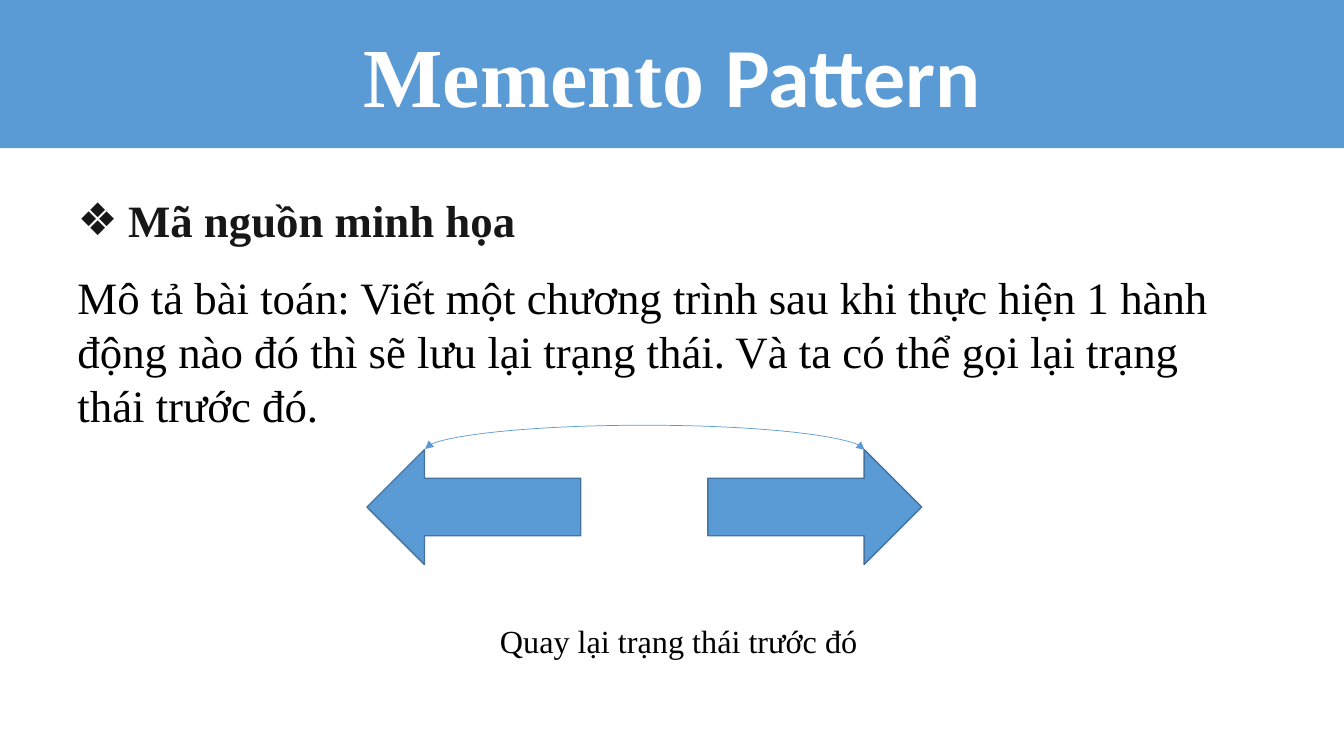
from dataclasses import dataclass

from lxml import etree
from pptx import Presentation
from pptx.dml.color import RGBColor
from pptx.enum.shapes import MSO_CONNECTOR, MSO_SHAPE
from pptx.enum.text import MSO_ANCHOR, MSO_AUTO_SIZE, PP_ALIGN
from pptx.oxml.ns import qn
from pptx.util import Inches, Pt

CURVE = MSO_CONNECTOR.CURVE
RIGHT_ARROW = MSO_SHAPE.RIGHT_ARROW
MIDDLE, TOP = MSO_ANCHOR.MIDDLE, MSO_ANCHOR.TOP
GROW, FIXED = MSO_AUTO_SIZE.SHAPE_TO_FIT_TEXT, MSO_AUTO_SIZE.NONE
CENTER, LEFT = PP_ALIGN.CENTER, PP_ALIGN.LEFT

COLORS = {
    "blue": "5B9BD5",
    "outline": "43739E",
    "white": "FFFFFF",
    "heading": "181717",
    "text": "000000",
}
SERIF, SANS = "Times New Roman", "Calibri"


@dataclass
class Box:
    left: float
    top: float
    width: float
    height: float


@dataclass
class Note:
    box: Box
    text: str
    size: int
    wrap: bool


@dataclass
class Arrow:
    box: Box
    rotation: int


TITLE_BOX = Box(0, 0, 13.33, 1.47)
HEADING_BOX = Box(0.67, 1.6, 4.58, 0.91)
NOTES = [
    Note(Box(0.67, 2.63, 11.72, 1.72),
         "Mô tả bài toán: Viết một chương trình sau khi thực hiện 1 hành động nào đó "
         "thì sẽ lưu lại trạng thái. Và ta có thể gọi lại trạng thái trước đó.",
         32, True),
    Note(Box(4.86, 6.11, 3.78, 0.49), "Quay lại trạng thái trước đó", 23, False),
]
ARROWS = [
    Arrow(Box(7.02, 4.46, 2.12, 1.14), 0),
    Arrow(Box(3.64, 4.46, 2.12, 1.14), 180),
]


def rgb(name: str) -> RGBColor:
    return RGBColor.from_string(COLORS[name])


def inches(box: Box) -> list:
    return [Inches(v) for v in (box.left, box.top, box.width, box.height)]


def set_all(obj, **values) -> None:
    for name, value in values.items():
        setattr(obj, name, value)


def place(s, box: Box) -> None:
    s.left, s.top, s.width, s.height = inches(box)


def add_run(p, text: str, size: int, color: str, font: str = SERIF, bold: bool = False) -> None:
    r = p.add_run()
    r.text = text
    set_all(r.font, name=font, size=Pt(size), bold=bold)
    r.font.color.rgb = rgb(color)


def fill_title(s) -> None:
    place(s, TITLE_BOX)
    s.fill.solid()
    s.fill.fore_color.rgb = rgb("blue")
    set_all(s.text_frame, vertical_anchor=MIDDLE, word_wrap=True, auto_size=FIXED)
    p = s.text_frame.paragraphs[0]
    p.alignment = CENTER
    add_run(p, "Memento ", 60, "white", bold=True)
    add_run(p, "Pattern", 60, "white", SANS, bold=True)


def fill_heading(s) -> None:
    place(s, HEADING_BOX)
    set_all(s.text_frame, vertical_anchor=TOP, word_wrap=False, auto_size=GROW)
    p = s.text_frame.paragraphs[0]
    set_all(p, alignment=LEFT, line_spacing=1.5, space_before=Pt(0))
    add_run(p, "Mã nguồn minh họa", 32, "heading", bold=True)
    pPr = p._p.get_or_add_pPr()
    pPr.set("marL", str(Inches(0.5)))
    pPr.set("indent", str(Inches(-0.5)))
    etree.SubElement(pPr, qn("a:buChar"), char="❖")


def add_note(slide, note: Note) -> None:
    tf = slide.shapes.add_textbox(*inches(note.box)).text_frame
    set_all(tf, word_wrap=note.wrap, auto_size=GROW)
    add_run(tf.paragraphs[0], note.text, note.size, "text")


def add_arrow(slide, arrow: Arrow) -> None:
    s = slide.shapes.add_shape(RIGHT_ARROW, *inches(arrow.box))
    s.rotation = arrow.rotation
    s.shadow.inherit = False
    s.fill.solid()
    s.fill.fore_color.rgb = rgb("blue")
    s.line.color.rgb = rgb("outline")
    s.line.width = Pt(1)


def add_return_curve(slide) -> None:
    """Join the arrows with a curve: a thin upright connector turned by 270 degrees."""
    c = slide.shapes.add_connector(CURVE, Inches(6.39), Inches(6.64), Inches(6.4), Inches(2.28))
    c.line.color.rgb = rgb("blue")
    c.line.width = Pt(0.5)
    spPr = c.element.spPr
    spPr.find(qn("a:xfrm")).set("rot", str(270 * 60000))
    avLst = spPr.find(qn("a:prstGeom")).find(qn("a:avLst"))
    # The bend rises 25 times the connector's 0.01 inch width
    etree.SubElement(avLst, qn("a:gd"), name="adj1", fmla="val 2500000")
    ln = spPr.find(qn("a:ln"))
    for end in ("a:headEnd", "a:tailEnd"):
        etree.SubElement(ln, qn(end), type="triangle")
    etree.SubElement(spPr, qn("a:effectLst"))


def main() -> None:
    prs = Presentation()
    prs.slide_width, prs.slide_height = Inches(13.33), Inches(7.5)
    slide = prs.slides.add_slide(prs.slide_layouts[1])
    fill_title(slide.shapes.title)
    fill_heading(slide.placeholders[1])
    description, caption = NOTES
    add_note(slide, description)
    for arrow in ARROWS:
        add_arrow(slide, arrow)
    add_return_curve(slide)
    add_note(slide, caption)
    prs.save("out.pptx")


if __name__ == "__main__":
    main()
